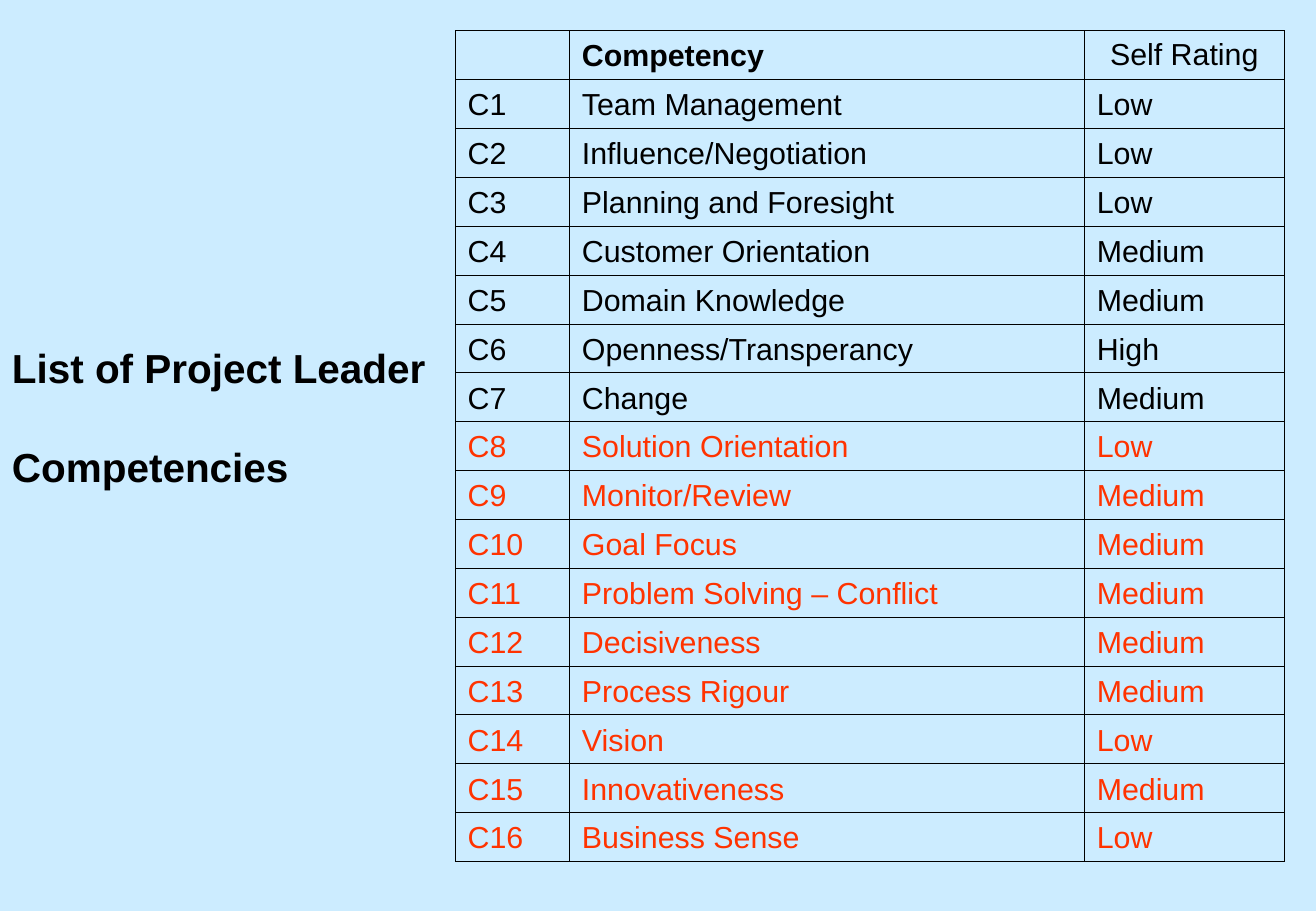
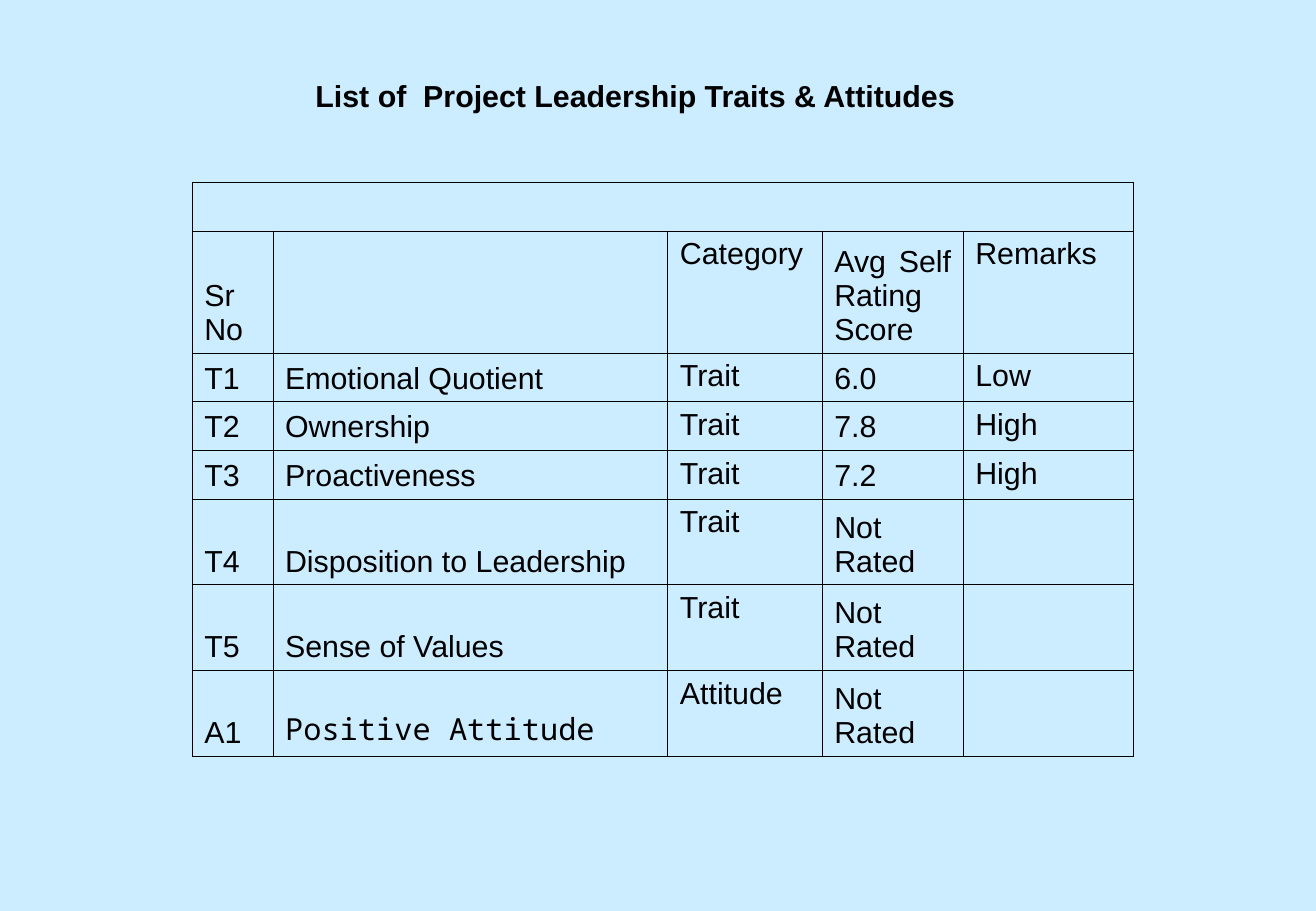
from dataclasses import dataclass

from lxml.etree import SubElement
from pptx import Presentation
from pptx.dml.color import RGBColor
from pptx.enum.text import MSO_ANCHOR as Anchor, PP_ALIGN as Align
from pptx.oxml.ns import qn
from pptx.util import Cm, Pt


@dataclass(frozen=True)
class Theme:
    background: str = "CCECFF"
    ink: str = "000000"
    accent: str = "FF3300"
    font: str = "Arial"
    mono: str = "Noto Sans Mono"
    heading: int = 24
    body: int = 18
    border: float = 0.45


THEME = Theme()
ROW_HEIGHT = 1.02

COMPETENCIES = [
    ("Team Management", "Low"),
    ("Influence/Negotiation", "Low"),
    ("Planning and Foresight", "Low"),
    ("Customer Orientation", "Medium"),
    ("Domain Knowledge", "Medium"),
    ("Openness/Transperancy", "High"),
    ("Change", "Medium"),
    ("Solution Orientation", "Low"),
    ("Monitor/Review", "Medium"),
    ("Goal Focus", "Medium"),
    ("Problem Solving – Conflict", "Medium"),
    ("Decisiveness", "Medium"),
    ("Process Rigour", "Medium"),
    ("Vision", "Low"),
    ("Innovativeness", "Medium"),
    ("Business Sense", "Low"),
]
FIRST_ACCENTED = 8

TRAITS = [
    ("Sr No", "", "Category", "Avg Self Rating Score", "Remarks"),
    ("T1", "Emotional Quotient", "Trait", "6.0", "Low"),
    ("T2", "Ownership", "Trait", "7.8", "High"),
    ("T3", "Proactiveness", "Trait", "7.2", "High"),
    ("T4", "Disposition to Leadership", "Trait", "Not Rated", ""),
    ("T5", "Sense of Values", "Trait", "Not Rated", ""),
    ("A1", "Positive Attitude", "Attitude", "Not Rated", ""),
]
TOP_ALIGNED_COLUMNS = (2, 4)


def write_text(para, text, *, size=THEME.body, color=THEME.ink, font=THEME.font,
               bold=False, align=Align.LEFT, before=0):
    """Add one formatted run to a paragraph."""
    para.alignment = align
    para.space_before = Pt(before)
    span = para.add_run()
    span.text = text
    span.font.name = font
    span.font.size = Pt(size)
    span.font.bold = bold
    span.font.color.rgb = RGBColor.from_string(color)


def add_slide(deck):
    page = deck.slides.add_slide(deck.slide_layouts[6])
    fill = page.background.fill
    fill.solid()
    fill.fore_color.rgb = RGBColor.from_string(THEME.background)
    return page


def add_title(page, lines, left, top, width, height, *, size, gap=0):
    box = page.shapes.add_textbox(Cm(left), Cm(top), Cm(width), Cm(height))
    frame = box.text_frame
    frame.word_wrap = True
    for index, line in enumerate(lines):
        para = frame.add_paragraph() if index else frame.paragraphs[0]
        write_text(para, line, size=size, bold=True, before=gap if index else 0)


def draw_borders(cell):
    properties = cell._tc.get_or_add_tcPr()
    for side in ("lnL", "lnR", "lnT", "lnB"):
        line = SubElement(properties, qn(f"a:{side}"), w=str(Pt(THEME.border)))
        solid = SubElement(line, qn("a:solidFill"))
        SubElement(solid, qn("a:srgbClr"), val=THEME.ink)


def add_grid(page, left, top, widths, heights):
    """Add an unfilled table with thin borders around every cell."""
    frame = page.shapes.add_table(len(heights), len(widths), Cm(left), Cm(top),
                                  Cm(sum(widths)), Cm(sum(heights)))
    table = frame.table
    table.first_row = table.horz_banding = False
    for column, width in zip(table.columns, widths):
        column.width = Cm(width)
    for row, height in zip(table.rows, heights):
        row.height = Cm(height)
    for cell in table.iter_cells():
        draw_borders(cell)
        cell.fill.background()
    return table


def fill_cell(cell, text, *, anchor=Anchor.BOTTOM, **style):
    cell.vertical_anchor = anchor
    if text:
        write_text(cell.text_frame.paragraphs[0], text, **style)


def build_competencies(deck):
    page = add_slide(deck)
    add_title(page, ["List of Project Leader", "Competencies"],
              0, 7.04, 9.4, 3.3, size=THEME.heading, gap=30)
    table = add_grid(page, 9.53, 0.64, [2.39, 10.77, 4.17],
                     [ROW_HEIGHT + 0.0025] * (len(COMPETENCIES) + 1))
    # Header row
    fill_cell(table.cell(0, 1), "Competency", bold=True)
    fill_cell(table.cell(0, 2), "Self Rating", anchor=Anchor.MIDDLE, align=Align.CENTER)
    # Numbered competencies
    for number, (name, rating) in enumerate(COMPETENCIES, start=1):
        color = THEME.accent if number >= FIRST_ACCENTED else THEME.ink
        for column, text in enumerate((f"C{number}", name, rating)):
            fill_cell(table.cell(number, column), text, color=color)


def build_traits(deck):
    page = add_slide(deck)
    heights = [ROW_HEIGHT, 2.55] + [ROW_HEIGHT] * 3 + [1.79] * 3
    table = add_grid(page, 4.02, 3.81, [1.69, 8.26, 3.23, 2.95, 3.56], heights)
    # Empty band across the top
    table.cell(0, 0).merge(table.cell(0, 4))
    # Column heads and ratings
    for row, values in enumerate(TRAITS, start=1):
        for column, text in enumerate(values):
            fill_cell(table.cell(row, column), text, align=Align.JUSTIFY,
                      anchor=Anchor.TOP if column in TOP_ALIGNED_COLUMNS else Anchor.BOTTOM,
                      font=THEME.mono if text == "Positive Attitude" else THEME.font)
    add_title(page, ["List of  Project Leadership Traits & Attitudes"],
              6.35, 1.48, 15.14, 1.02, size=THEME.body)


def main():
    deck = Presentation()
    deck.slide_width, deck.slide_height = Cm(27.53), Cm(19.05)
    build_competencies(deck)
    build_traits(deck)
    deck.save("out.pptx")


if __name__ == "__main__":
    main()
